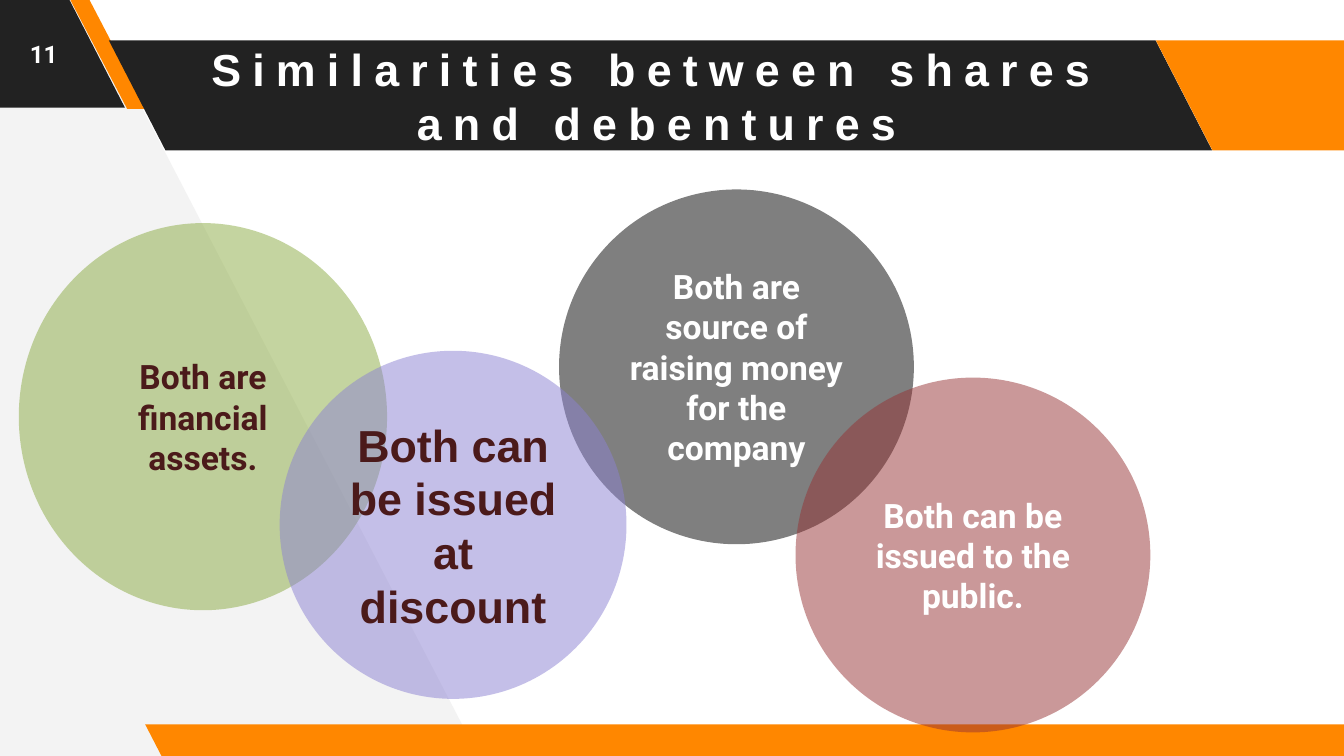
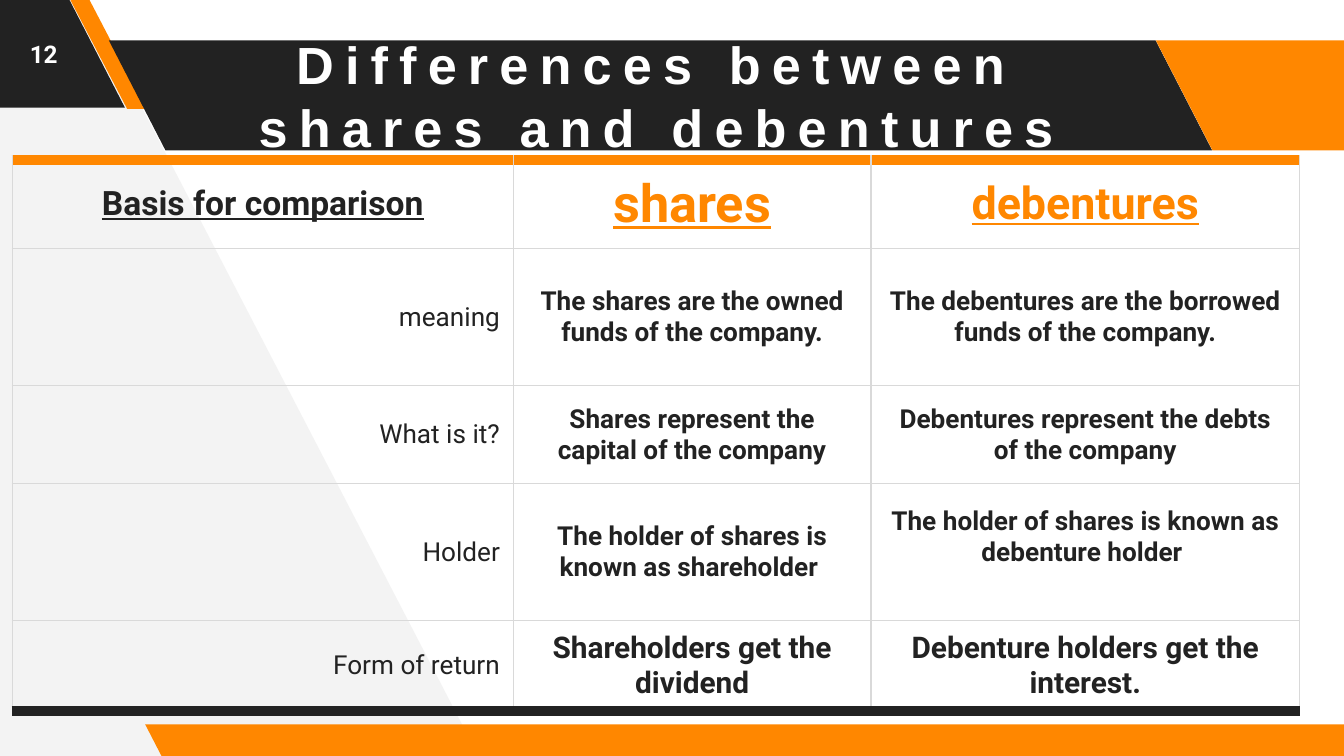
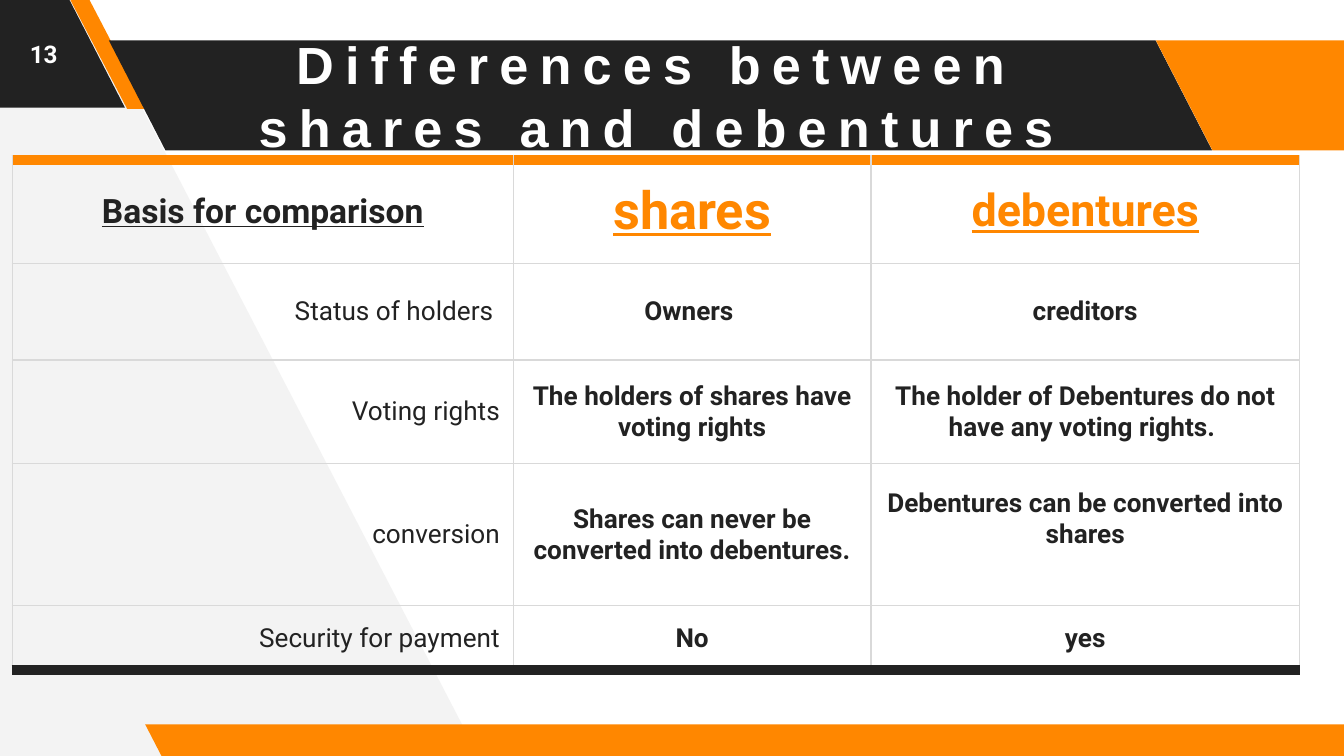
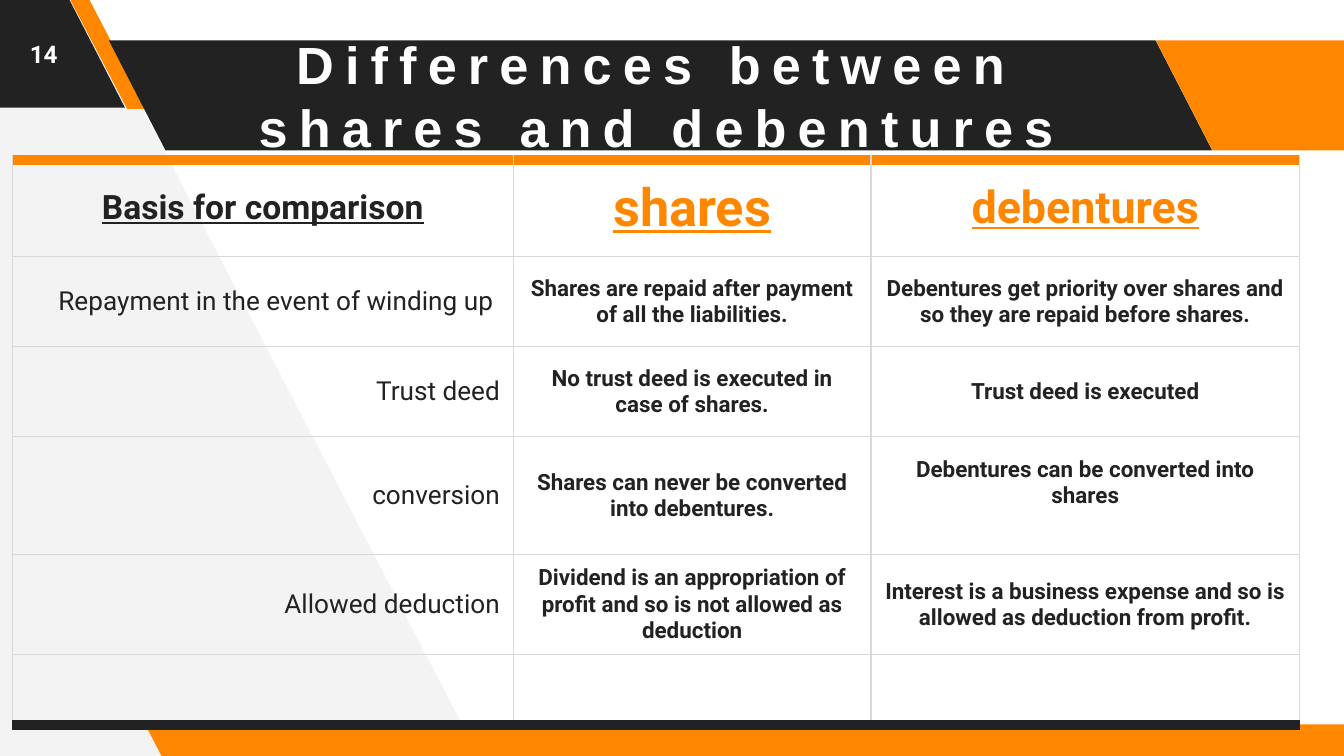
import dataclasses
import pptx
import pptx.util
import pptx.dml.color
import pptx.enum.shapes
import pptx.enum.text
import pptx.oxml
import pptx.oxml.ns

Pt = pptx.util.Pt
Kind = pptx.enum.shapes.MSO_SHAPE
Side = pptx.enum.text.PP_ALIGN
mid = pptx.enum.text.MSO_ANCHOR.MIDDLE
qn = pptx.oxml.ns.qn


@dataclasses.dataclass
class Theme:
    dark: str = "222222"
    hot: str = "FF8700"
    pale: str = "F3F3F3"
    white: str = "FFFFFF"
    rule: str = "D9D9D9"
    wine: str = "4B1A1A"
    head: str = "Arial"
    body: str = "Roboto"
    num: int = 13
    small: int = 12
    cell: int = 14
    last: int = 16
    mark: int = 18
    large: int = 24
    huge: int = 28


theme = Theme()


def paint(shape, tint, alpha=None):
    shape.shadow.inherit = False
    shape.line.fill.background()
    shape.fill.solid()
    shape.fill.fore_color.rgb = pptx.dml.color.RGBColor.from_string(tint)
    if alpha:
        tone = shape.fill._xPr.find(".//" + qn("a:srgbClr"))
        tone.append(pptx.oxml.parse_xml(
            f'<a:alpha {pptx.oxml.ns.nsdecls("a")} val="{alpha * 1000}"/>'))


def write(frame, text, size, tint, font=theme.body, bold=True, line=False,
          side=Side.CENTER, track=0):
    frame.word_wrap = True
    part = frame.paragraphs[0]
    part.alignment = side
    run = part.add_run()
    run.text = text
    run.font.size = Pt(size)
    run.font.name = font
    run.font.bold = bold
    run.font.underline = line
    run.font.color.rgb = pptx.dml.color.RGBColor.from_string(tint)
    if track:
        run._r.get_or_add_rPr().set("spc", str(track * 100))


bands = [
    (-71.3, -1.4, 138.2, 59, 0.515, theme.dark),
    (37.4, -0.7, 41, 59, 0.75, theme.hot),
    (58.3, 21.6, 591.1, 59, 0.515, theme.dark),
    (619.2, 21.6, 138.2, 59, 0.515, theme.hot),
    (77.8, 388.1, 658.8, 18, 0.515, theme.hot),
]
wedge = [(256.3, 405), (44.6, -2.9), (-4.3, -2.9), (-1.4, 407.5)]

same = "Similarities between shares and debentures"
diff = "Differences between shares and debentures"
titles = [(same, theme.large)] + [(diff, theme.huge)] * 3

rings = [
    (299.5, 101.5, 190.1, 190.1, "000000", theme.white, theme.mark, theme.body,
     "Both are source of raising money for the company"),
    (10.1, 119.5, 197.3, 207.4, "8BAB42", theme.wine, theme.mark, theme.body,
     "Both are financial assets."),
    (426.2, 202.3, 190.1, 190.1, "963334", theme.white, theme.mark, theme.body,
     "Both can be issued to the public."),
    (149.8, 187.9, 185.8, 186.5, "8B81D2", theme.wine, theme.large, theme.head,
     "Both can be issued at discount"),
]

wide = [268.6, 191.5, 229.7]
heads = [
    ("Basis for comparison", theme.mark, theme.dark),
    ("shares", theme.huge, theme.hot),
    ("debentures", theme.large, theme.hot),
]
grids = [
    ([47.5, 73.4, 52.6, 73.4, 34.6], [theme.cell] * 3 + [theme.last], [
        ("meaning", "The shares are the owned funds of the company.",
         "The debentures are the borrowed funds of the company."),
        ("What is it?", "Shares represent the capital of the company",
         "Debentures represent the debts of the company"),
        ("Holder", "The holder of shares is known as shareholder ",
         "The holder of shares is known as debenture holder "),
        ("Form of return", "Shareholders get the dividend",
         "Debenture holders get the interest."),
    ]),
    ([55.4, 51.8, 55.4, 76.3, 34.6], [theme.cell] * 4, [
        ("Status of holders ", "Owners ", "creditors"),
        ("Voting rights", "The holders of shares have voting rights",
         "The holder of Debentures do not have any voting rights. "),
        ("conversion", "Shares can never be converted into debentures.",
         "Debentures can be converted into shares"),
        ("Security for payment", "No", "yes"),
    ]),
    ([51.8, 48.2, 48.2, 63.4, 38.2, 38.2], [theme.small] * 5, [
        ("Repayment in the event of winding up ",
         "Shares are repaid after payment of all the liabilities.",
         "Debentures get priority over shares and so they are repaid before shares."),
        ("Trust deed", "No trust deed is executed in case of shares.",
         "Trust deed is executed"),
        ("conversion", "Shares can never be converted into debentures.",
         "Debentures can be converted into shares"),
        ("Allowed deduction",
         "Dividend is an appropriation of profit and so is not allowed as deduction",
         "Interest is a business expense and so is allowed as deduction from profit."),
        ("", "", ""),
    ]),
]

deck = pptx.Presentation()
deck.slide_width = Pt(720)
deck.slide_height = Pt(405)

for page, (title, size) in enumerate(titles):
    slide = deck.slides.add_slide(deck.slide_layouts[6])
    shapes = slide.shapes

    pen = shapes.build_freeform(Pt(wedge[0][0]), Pt(wedge[0][1]))
    pen.add_line_segments([(Pt(x), Pt(y)) for x, y in wedge[1:]])
    paint(pen.convert_to_shape(), theme.pale)

    for x, y, w, h, slant, tint in bands:
        band = shapes.add_shape(Kind.PARALLELOGRAM, Pt(x), Pt(y), Pt(w), Pt(h))
        band.adjustments[0] = slant
        band._element.spPr.xfrm.set("flipH", "1")
        paint(band, tint)

    labels = [
        (87.1, 21.6, 529.2, 59, title, size, theme.head, 6),
        (0, 0, 46.8, 57.6, str(page + 11), theme.num, theme.body, 0),
    ]
    for x, y, w, h, text, size, font, track in labels:
        frame = shapes.add_textbox(Pt(x), Pt(y), Pt(w), Pt(h)).text_frame
        frame.vertical_anchor = mid
        frame.margin_top = frame.margin_bottom = Pt(7.2)
        write(frame, text, size, theme.white, font, track=track)

    if page == 0:
        for x, y, w, h, tint, ink, size, font, text in rings:
            ring = shapes.add_shape(Kind.OVAL, Pt(x), Pt(y), Pt(w), Pt(h))
            paint(ring, tint, 50)
            ring.text_frame.vertical_anchor = mid
            write(ring.text_frame, text, size, ink, font)
        continue

    high, sizes, rows = grids[page - 1]
    table = shapes.add_table(len(high), len(wide), Pt(6.5), Pt(85.7),
                             Pt(sum(wide)), Pt(sum(high))).table
    table.first_row = False
    table.horz_banding = False
    for col, w in zip(table.columns, wide):
        col.width = Pt(w)
    for r, h in enumerate(high):
        table.rows[r].height = Pt(h)
        for c in range(len(wide)):
            cell = table.cell(r, c)
            cell.vertical_anchor = mid
            cell.margin_left = cell.margin_right = Pt(7.2)
            cell.margin_top = cell.margin_bottom = Pt(5)
            edges = {"L": (theme.rule, 0.75), "R": (theme.rule, 0.75),
                     "T": (theme.rule, 0.75), "B": (theme.rule, 0.75)}
            if r == 0:
                edges["T"] = (theme.hot, 6)
            if r == len(high) - 1:
                edges["B"] = (theme.dark, 6)
            for edge, (tint, w) in edges.items():
                cell._tc.get_or_add_tcPr().append(pptx.oxml.parse_xml(
                    f'<a:ln{edge} {pptx.oxml.ns.nsdecls("a")} w="{Pt(w)}">'
                    f'<a:solidFill><a:srgbClr val="{tint}"/></a:solidFill>'
                    f'</a:ln{edge}>'))
            cell.fill.background()
            if r == 0:
                text, size, tint = heads[c]
                write(cell.text_frame, text, size, tint, line=True)
            elif rows[r - 1][c]:
                text = rows[r - 1][c]
                if c == 0:
                    write(cell.text_frame, text, theme.cell, theme.dark,
                          bold=False, side=Side.RIGHT)
                else:
                    write(cell.text_frame, text, sizes[r - 1], theme.dark)
            if (r, c) == (3, 2):
                cell.margin_bottom = Pt(5 + sizes[2] * 1.17)

deck.save("out.pptx")
